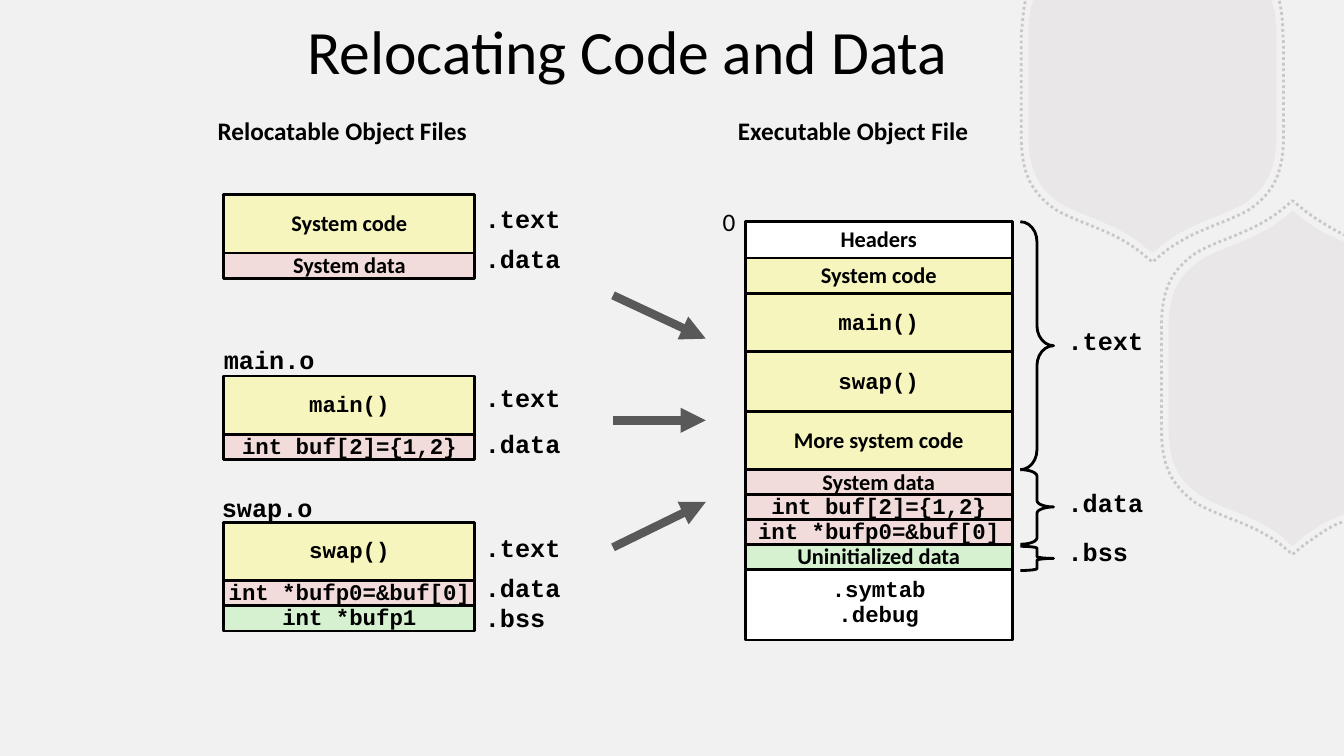
"""Build the slide that shows how linked sections move into an executable."""
from typing import NamedTuple

from lxml import etree
from pptx import Presentation
from pptx.dml.color import RGBColor
from pptx.enum.dml import MSO_LINE
from pptx.enum.shapes import MSO_CONNECTOR, MSO_SHAPE
from pptx.enum.text import MSO_ANCHOR, MSO_AUTO_SIZE, PP_ALIGN
from pptx.oxml.ns import qn
from pptx.util import Emu, Pt

PX = 9144
RECTANGLE, BRACE = MSO_SHAPE.RECTANGLE, MSO_SHAPE.RIGHT_BRACE
STRAIGHT, DOTTED = MSO_CONNECTOR.STRAIGHT, MSO_LINE.ROUND_DOT
LEFT, CENTER, MIDDLE = PP_ALIGN.LEFT, PP_ALIGN.CENTER, MSO_ANCHOR.MIDDLE
NO_FIT, GROW = MSO_AUTO_SIZE.NONE, MSO_AUTO_SIZE.SHAPE_TO_FIT_TEXT

SANS, MONO = "Calibri", "Courier New"
BLACK, WHITE, PAPER = "000000", "FFFFFF", "F2F1F1"
CODE, DATA, BSS = "F6F5BD", "F2DCDB", "D5F1CF"
ARROW_GREY, BADGE_GREY = "595959", "B8B2B2"
SPACING = {SANS: 0.98, MONO: 0.94}


class Section(NamedTuple):
    text: str
    height: int
    fill: str
    font: str = MONO


class ObjectFile(NamedTuple):
    left: int
    top: int
    width: int
    sections: list[Section]


class Label(NamedTuple):
    text: str
    left: int
    top: int
    width: int
    height: int = 39
    font: str = MONO
    bold: bool = True
    align: PP_ALIGN = LEFT


class Brace(NamedTuple):
    top: int
    height: int
    curl: float


class Arrow(NamedTuple):
    start_y: int
    end_y: int


class Badge(NamedTuple):
    """A start point, then segments of x, y pairs: one pair is a line, three a curve."""
    outlined: bool
    start: tuple[int, int]
    segments: list[tuple[int, ...]]


BUF = Section("int buf[2]={1,2}", 25, DATA)
BUFP0 = Section("int *bufp0=&buf[0]", 25, DATA)
MAIN = Section("main()", 58, CODE)
SWAP = Section("swap()", 58, CODE)
SYSTEM_DATA = Section("System data", 25, DATA, SANS)

OBJECT_FILES = [
    ObjectFile(222, 193, 249, [Section("System code", 58, CODE, SANS), SYSTEM_DATA]),
    ObjectFile(222, 373, 249, [MAIN, BUF]),
    ObjectFile(222, 518, 249, [SWAP, BUFP0, Section("int *bufp1", 25, BSS)]),
    ObjectFile(739, 560, 265, [Section(".symtab\n.debug", 75, WHITE)]),
    ObjectFile(739, 220, 265, [
        Section("Headers", 36, WHITE, SANS),
        Section("System code", 35, CODE, SANS),
        MAIN,
        SWAP._replace(height=59),
        Section("More system code", 58, CODE, SANS),
        SYSTEM_DATA,
        BUF._replace(height=24),
        BUFP0,
        Section("Uninitialized data", 25, BSS, SANS),
    ]),
]
LABELS = [
    Label("Relocatable Object Files", 206, 111, 269, 40, SANS),
    Label("Executable Object File", 722, 111, 250, 40, SANS),
    Label("0", 707, 201, 33, 40, SANS, False),
    Label("main.o", 212, 339, 110, align=CENTER),
    Label("swap.o", 210, 486, 110, align=CENTER),
    *[Label(text, 471, top, 95) for text, top in (
        (".text", 199), (".data", 239), (".text", 377), (".data", 422),
        (".text", 526), (".data", 565))],
    Label(".bss", 471, 595, 110),
    Label(".text", 1049, 320, 95),
    Label(".data", 1049, 481, 95),
    Label(".bss", 1049, 530, 80),
]
BRACES = [Brace(220, 246, 0.6), Brace(466, 74, 0.19), Brace(542, 24, 0.08)]
ARROWS = [Arrow(293, 336), Arrow(417, 417), Arrow(543, 498)]
BADGES = [
    Badge(False, (1025, 0), [
        (1261, 0), (1262, 3), (1265, 12, 1266, 23, 1266, 36), (1266, 133),
        (1266, 169, 1256, 187, 1234, 202), (1211, 215, 1181, 221, 1154, 242),
        (1143, 251), (1132, 242), (1105, 221, 1075, 215, 1052, 202),
        (1030, 187, 1020, 169, 1020, 133), (1020, 36), (1020, 23, 1021, 12, 1024, 3)]),
    Badge(False, (1282, 209), [
        (1293, 218), (1300, 223, 1307, 227, 1313, 231), (1333, 240), (1333, 510),
        (1313, 519), (1307, 523, 1300, 527, 1293, 532), (1282, 542), (1271, 532),
        (1244, 511, 1214, 506, 1191, 492), (1169, 477, 1159, 459, 1159, 424),
        (1159, 326), (1159, 291, 1169, 273, 1191, 258),
        (1214, 244, 1244, 239, 1271, 218)]),
    Badge(True, (1269, 1), [
        (1273, 19, 1272, 30, 1273, 44), (1273, 136),
        (1273, 173, 1262, 192, 1239, 208), (1215, 222, 1183, 228, 1155, 250),
        (1143, 260), (1131, 250), (1103, 228, 1071, 222, 1047, 208),
        (1024, 192, 1013, 173, 1013, 136), (1013, 33), (1014, 26, 1015, 9, 1017, 1)]),
    Badge(True, (1331, 518), [
        (1318, 522, 1302, 535, 1294, 540), (1282, 550), (1270, 540),
        (1242, 519, 1210, 513, 1186, 499), (1163, 482, 1152, 464, 1152, 426),
        (1152, 323), (1152, 286, 1163, 267, 1186, 251),
        (1210, 237, 1242, 231, 1270, 209), (1282, 199), (1294, 209),
        (1302, 215, 1319, 226, 1333, 233)]),
]


def color(hex_code: str) -> RGBColor:
    """Turn a hex string into a colour."""
    return RGBColor.from_string(hex_code)


def px(*lengths: int) -> list[Emu]:
    """Turn pixels into EMU."""
    return [Emu(length * PX) for length in lengths]


def set_text(shape, text: str, size: int, font: str, bold: bool, align: PP_ALIGN) -> None:
    """Write one paragraph for each line of the text."""
    frame = shape.text_frame
    for index, line in enumerate(text.split("\n")):
        paragraph = frame.add_paragraph() if index else frame.paragraphs[0]
        paragraph.alignment = align
        paragraph.line_spacing = SPACING[font]
        run = paragraph.add_run()
        run.text = line
        run.font.name, run.font.size, run.font.bold = font, Pt(size), bold
        run.font.color.rgb = color(BLACK)


def set_line(shape, hex_code: str, width: int) -> None:
    """Give a shape or connector a solid line."""
    shape.line.color.rgb = color(hex_code)
    shape.line.width = Pt(width)


def add_badge(slide, badge: Badge) -> None:
    """Draw a pale badge or its dotted outline with true curves."""
    builder = slide.shapes.build_freeform(*badge.start, scale=float(PX))
    for segment in badge.segments:
        builder.add_line_segments(list(zip(segment[::2], segment[1::2])), close=False)
    emblem = builder.convert_to_shape()
    contour = next(emblem._element.iter(qn("a:path")))
    steps = iter(contour.findall(qn("a:lnTo")))
    for segment in badge.segments:
        step = next(steps)
        if len(segment) == 6:
            curve = etree.Element(qn("a:cubicBezTo"))
            contour.replace(step, curve)
            curve.append(step[0])
            for control in (next(steps), next(steps)):
                curve.append(control[0])
                contour.remove(control)
    emblem.shadow.inherit = False
    if badge.outlined:
        emblem.fill.background()
        set_line(emblem, BADGE_GREY, 2)
        emblem.line.dash_style = DOTTED
    else:
        etree.SubElement(contour, qn("a:close"))
        emblem.fill.solid()
        emblem.fill.fore_color.rgb = color(BADGE_GREY)
        emblem.line.fill.background()
    tint = next(emblem._element.iter(qn("a:srgbClr")))
    etree.SubElement(tint, qn("a:alpha"), val="65000" if badge.outlined else "15000")


def add_object_file(slide, file: ObjectFile) -> None:
    """Stack the sections of one object file."""
    top = file.top
    for section in file.sections:
        box = slide.shapes.add_shape(RECTANGLE, *px(file.left, top, file.width, section.height))
        box.shadow.inherit = False
        box.fill.solid()
        box.fill.fore_color.rgb = color(section.fill)
        set_line(box, BLACK, 2)
        box.text_frame.word_wrap = False
        box.text_frame.vertical_anchor = MIDDLE
        set_text(box, section.text, 16, section.font, True, CENTER)
        top += section.height


def add_label(slide, label: Label) -> None:
    """Place a caption beside a file or section."""
    caption = slide.shapes.add_textbox(*px(label.left, label.top, label.width, label.height))
    caption.text_frame.word_wrap = False
    caption.text_frame.auto_size = GROW
    set_text(caption, label.text, 18, label.font, label.bold, label.align)


def add_brace(slide, brace: Brace) -> None:
    """Bracket the sections of the executable."""
    bracket = slide.shapes.add_shape(BRACE, *px(1012, brace.top, 33, brace.height))
    bracket.shadow.inherit = False
    bracket.adjustments[0], bracket.adjustments[1] = brace.curl, 0.5
    bracket.fill.background()
    set_line(bracket, BLACK, 2)


def add_arrow(slide, arrow: Arrow) -> None:
    """Point from an object file to the executable."""
    pointer = slide.shapes.add_connector(STRAIGHT, *px(608, arrow.start_y, 700, arrow.end_y))
    set_line(pointer, ARROW_GREY, 6)
    properties = pointer._element.spPr
    etree.SubElement(properties.find(qn("a:ln")), qn("a:tailEnd"), type="triangle")
    etree.SubElement(properties, qn("a:effectLst"))


def main() -> None:
    """Build and save the slide."""
    deck = Presentation()
    deck.slide_width, deck.slide_height = px(1333, 750)
    slide = deck.slides.add_slide(deck.slide_layouts[5])
    slide.background.fill.solid()
    slide.background.fill.fore_color.rgb = color(PAPER)
    title = slide.shapes.title
    title.left, title.top, title.width, title.height = px(207, 8, 831, 83)
    title.text_frame.auto_size = NO_FIT
    title.text_frame.vertical_anchor = MIDDLE
    set_text(title, "Relocating Code and Data", 44, SANS, False, CENTER)
    title.text_frame.paragraphs[0].line_spacing = 1.0
    for draw, items in ((add_badge, BADGES), (add_object_file, OBJECT_FILES),
                        (add_label, LABELS), (add_brace, BRACES), (add_arrow, ARROWS)):
        for item in items:
            draw(slide, item)
    deck.save("out.pptx")


if __name__ == "__main__":
    main()
